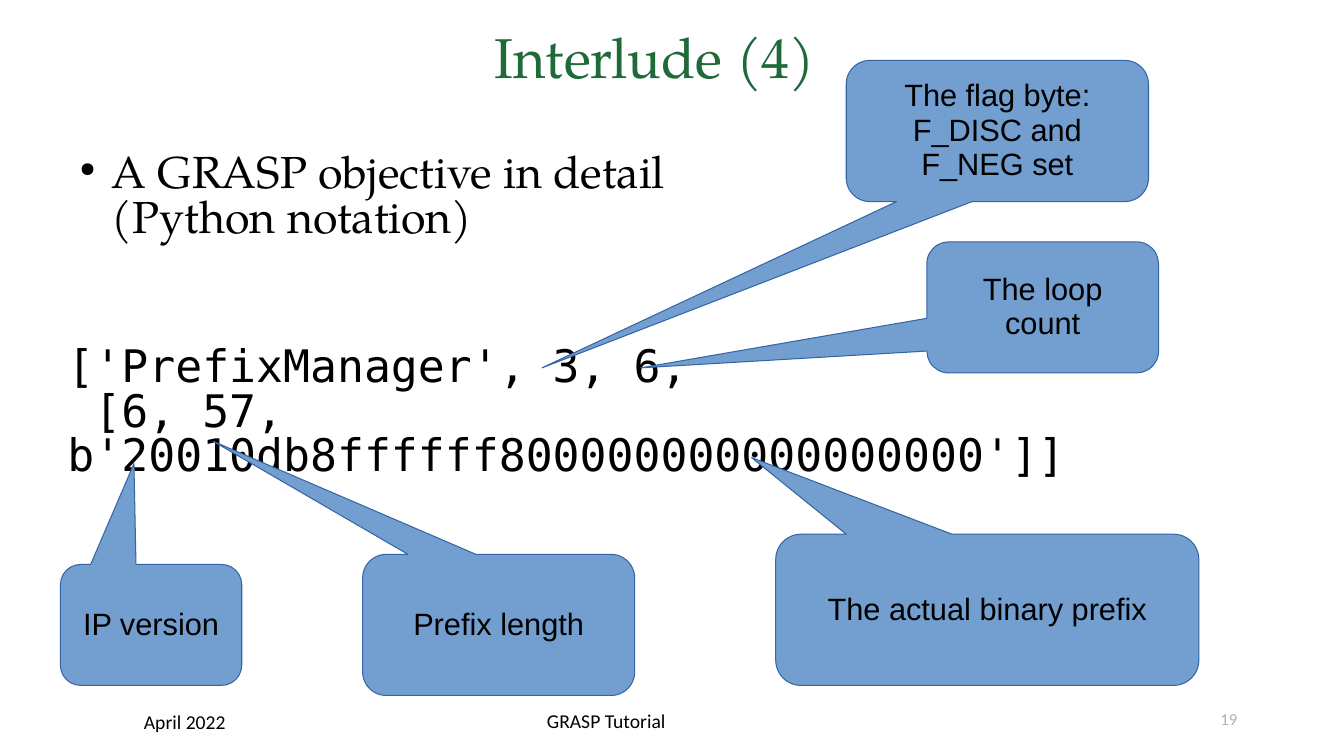
from dataclasses import dataclass

import lxml.etree
import pptx
import pptx.dml.color
import pptx.enum.shapes
import pptx.enum.text
import pptx.oxml.ns
import pptx.util

Inches = pptx.util.Inches
ALIGN = pptx.enum.text.PP_ALIGN
ANCHOR = pptx.enum.text.MSO_ANCHOR


@dataclass(frozen=True)
class Theme:
    serif: str = "TeX Gyre Pagella"
    sans: str = "Arial"
    mono: str = "DejaVu Sans Mono"
    footer: str = "Calibri"
    ink: str = "000000"
    title: str = "1E6A39"
    callout_fill: str = "729FCF"
    callout_line: str = "3465A4"
    page_number: str = "B2B2B2"
    title_size: int = 40
    body_size: int = 32
    callout_size: int = 22
    footer_size: int = 14
    page_size: int = 12


def rgb(value):
    return pptx.dml.color.RGBColor.from_string(value)


class SlideBuilder:
    def __init__(self, slide, theme):
        self.slide = slide
        self.theme = theme

    def fill_text(self, shape, lines, font, size, color=None, align=ALIGN.LEFT,
                  anchor=ANCHOR.TOP, spacing=1.0, insets=(0.1, 0.05, 0.1, 0.05),
                  wrap=True):
        frame = shape.text_frame
        frame.word_wrap = wrap
        frame.vertical_anchor = anchor
        (frame.margin_left, frame.margin_top,
         frame.margin_right, frame.margin_bottom) = map(Inches, insets)
        paragraph = frame.paragraphs[0]
        paragraph.alignment = align
        paragraph.line_spacing = spacing
        for index, line in enumerate(lines):
            if index:
                paragraph.add_line_break()
            run = paragraph.add_run()
            run.text = line
            run.font.name = font
            run.font.size = pptx.util.Pt(size)
            run.font.color.rgb = rgb(color or self.theme.ink)
        return paragraph

    def text(self, box, lines, font, size, **style):
        shape = self.slide.shapes.add_textbox(*map(Inches, box))
        return self.fill_text(shape, lines, font, size, **style)

    def bullet(self, box, lines):
        paragraph = self.text(box, lines, self.theme.serif, self.theme.body_size,
                              spacing=0.83, insets=(0, 0.11, 0, 0))
        properties = paragraph._p.get_or_add_pPr()
        properties.set("marL", str(Inches(0.44)))
        properties.set("indent", str(Inches(-0.32)))
        for tag, name, value in (("a:buSzPct", "val", "45000"),
                                 ("a:buChar", "char", "●")):
            mark = lxml.etree.SubElement(properties, pptx.oxml.ns.qn(tag))
            mark.set(name, value)

    def callout(self, box, pointer, lines):
        shape = self.slide.shapes.add_shape(
            pptx.enum.shapes.MSO_SHAPE.ROUNDED_RECTANGULAR_CALLOUT,
            *map(Inches, box))
        left, top, width, height = box
        tip_x, tip_y = pointer
        shape.adjustments[0] = (tip_x - left) / width - 0.5
        shape.adjustments[1] = (tip_y - top) / height - 0.5
        shape.adjustments[2] = 0.167
        shape.shadow.inherit = False
        shape.fill.solid()
        shape.fill.fore_color.rgb = rgb(self.theme.callout_fill)
        shape.line.color.rgb = rgb(self.theme.callout_line)
        shape.line.width = pptx.util.Pt(0.75)
        self.fill_text(shape, lines, self.theme.sans, self.theme.callout_size,
                       align=ALIGN.CENTER, anchor=ANCHOR.MIDDLE, spacing=0.93,
                       wrap=False)


def main():
    deck = pptx.Presentation()
    deck.slide_width = Inches(13.34)
    deck.slide_height = Inches(7.5)
    theme = Theme()
    page = SlideBuilder(deck.slides.add_slide(deck.slide_layouts[6]), theme)

    footers = (((1.33, 6.99, 1.01, 0.33), "April 2022"),
               ((5.33, 6.98, 1.39, 0.33), "GRASP Tutorial"))
    for box, label in footers:
        page.text(box, [label], theme.footer, theme.footer_size, wrap=False)

    page.text((1.5, 0, 10, 1.14), ["Interlude (4)"], theme.serif,
              theme.title_size, color=theme.title, align=ALIGN.CENTER,
              anchor=ANCHOR.MIDDLE, spacing=0.83, insets=(0, 0.09, 0, 0))
    page.bullet((0.67, 1.41, 12, 1.1),
                ["A GRASP objective in detail", "(Python notation)"])
    page.text((0.67, 3.44, 12, 1.5),
              ["['PrefixManager', 3, 6,",
               " [6, 57, b'20010db8ffffff800000000000000000']]"],
              theme.mono, theme.body_size, spacing=0.83, insets=(0, 0, 0, 0))

    callouts = (
        ((8.4, 0.6, 3, 1.4), (5.38, 3.65),
         ["The flag byte:", "F_DISC and", "F_NEG set"]),
        ((9.2, 2.4, 2.3, 1.3), (6.36, 3.65), ["The loop", "count"]),
        ((0.6, 5.6, 1.8, 1.2), (1.33, 4.6), ["IP version"]),
        ((3.6, 5.5, 2.7, 1.4), (2.12, 4.38), ["Prefix length"]),
        ((7.7, 5.3, 4.2, 1.5), (7.46, 4.54), ["The actual binary prefix"]),
    )
    for box, pointer, lines in callouts:
        page.callout(box, pointer, lines)

    page.text((9.42, 6.95, 2.96, 0.36), ["19"], theme.footer, theme.page_size,
              color=theme.page_number, align=ALIGN.RIGHT, anchor=ANCHOR.MIDDLE)
    deck.save("out.pptx")


if __name__ == "__main__":
    main()
